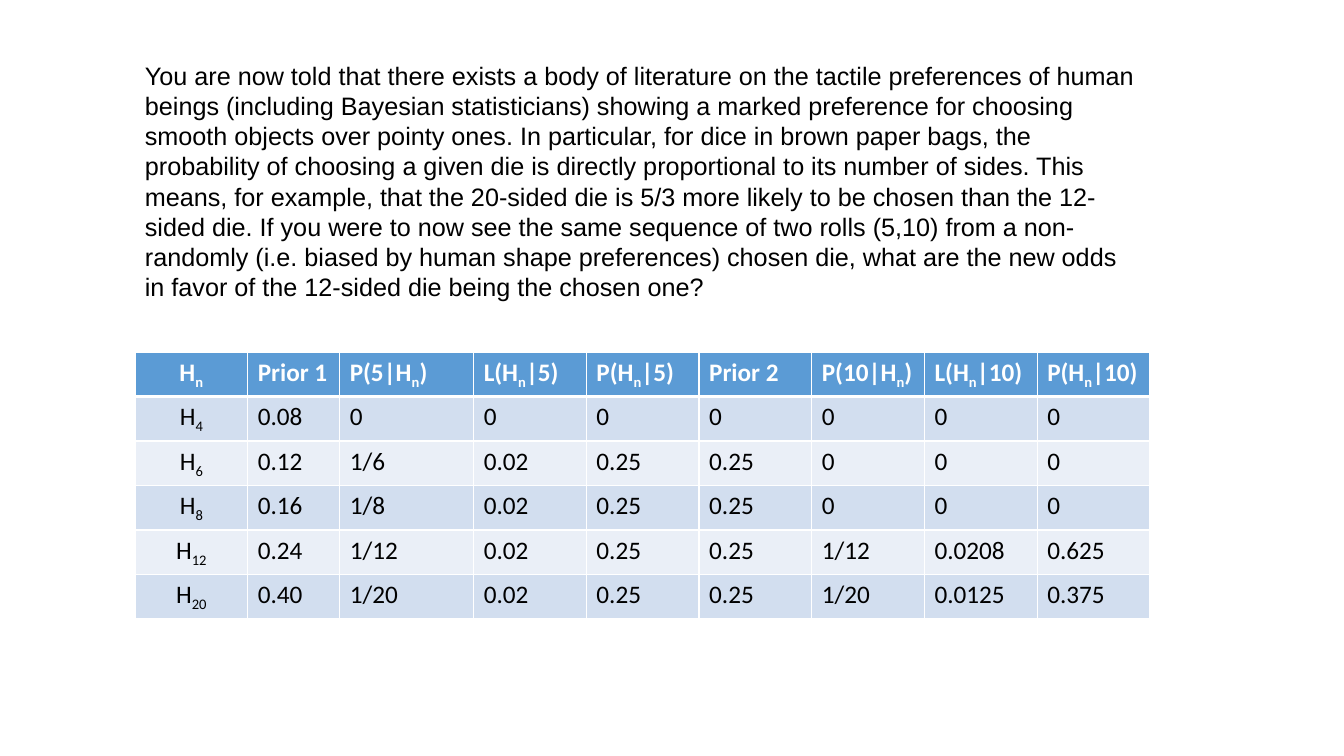
from lxml.etree import SubElement
from pptx import Presentation
from pptx.dml.color import RGBColor
from pptx.enum.text import MSO_AUTO_SIZE, PP_ALIGN
from pptx.oxml import parse_xml
from pptx.oxml.ns import nsdecls
from pptx.util import Emu, Pt

# Content: text between underscores is subscript
QUESTION = (
    "You are now told that there exists a body of literature on the tactile "
    "preferences of human beings (including Bayesian statisticians) showing a "
    "marked preference for choosing smooth objects over pointy ones. In "
    "particular, for dice in brown paper bags, the probability of choosing a "
    "given die is directly proportional to its number of sides. This means, "
    "for example, that the 20-sided die is 5/3 more likely to be chosen than "
    "the 12-sided die. If you were to now see the same sequence of two rolls "
    "(5,10) from a non-randomly (i.e. biased by human shape preferences) "
    "chosen die, what are the new odds in favor of the 12-sided die being the "
    "chosen one?"
)
HYPOTHESES = [
    ("H_n_", "Prior 1", "P(5|H_n_)", "L(H_n_|5)", "P(H_n_|5)", "Prior 2",
     "P(10|H_n_)", "L(H_n_|10)", "P(H_n_|10)"),
    ("H_4_", "0.08", "0", "0", "0", "0", "0", "0", "0"),
    ("H_6_", "0.12", "1/6", "0.02", "0.25", "0.25", "0", "0", "0"),
    ("H_8_", "0.16", "1/8", "0.02", "0.25", "0.25", "0", "0", "0"),
    ("H_12_", "0.24", "1/12", "0.02", "0.25", "0.25", "1/12", "0.0208", "0.625"),
    ("H_20_", "0.40", "1/20", "0.02", "0.25", "0.25", "1/20", "0.0125", "0.375"),
]

BLACK = RGBColor(0x00, 0x00, 0x00)
WHITE = RGBColor(0xFF, 0xFF, 0xFF)
HEADER_BLUE = RGBColor(0x5B, 0x9B, 0xD5)
BAND_DARK = RGBColor(0xD2, 0xDE, 0xEF)
BAND_LIGHT = RGBColor(0xEA, 0xEF, 0xF7)

# Layout in pixels
LEFT, WIDTH = 135, 1015
QUESTION_TOP, QUESTION_HEIGHT = 55, 254
TABLE_TOP, ROW_HEIGHT = 352, 41
SPECIAL_WIDTHS = {1: 92, 2: 134}


def px(value):
    return Emu(round(value * 914400 / 100.8))


def add_text(para, text, font, color, bold=False):
    for index, part in enumerate(text.split("_")):
        if not part:
            continue
        span = para.add_run()
        span.text = part
        span.font.name = font
        span.font.size = Pt(18)
        span.font.bold = bold
        span.font.color.rgb = color
        if index % 2:
            span.font._element.set("baseline", "-25000")


def add_borders(cell, top, bottom):
    properties = cell._tc.get_or_add_tcPr()
    sides = (("lnL", 1), ("lnR", 1), ("lnT", top), ("lnB", bottom))
    for index, (side, points) in enumerate(sides):
        line = parse_xml(
            f'<a:{side} {nsdecls("a")} w="{Pt(points)}"><a:solidFill>'
            f'<a:srgbClr val="{WHITE}"/></a:solidFill></a:{side}>')
        properties.insert(index, line)


deck = Presentation()
deck.slide_width, deck.slide_height = px(1344), px(756)
page = deck.slides.add_slide(deck.slide_layouts[6])

# Question
box = page.shapes.add_textbox(
    px(LEFT), px(QUESTION_TOP), px(WIDTH), px(QUESTION_HEIGHT))
box.text_frame.word_wrap = True
box.text_frame.auto_size = MSO_AUTO_SIZE.SHAPE_TO_FIT_TEXT
add_text(box.text_frame.paragraphs[0], QUESTION, "Arial", BLACK)

# Table of hypotheses, with the remaining width shared equally
row_count, column_count = len(HYPOTHESES), len(HYPOTHESES[0])
table = page.shapes.add_table(
    row_count, column_count, px(LEFT), px(TABLE_TOP), px(WIDTH),
    px(ROW_HEIGHT * row_count)).table
equal_width = ((WIDTH - sum(SPECIAL_WIDTHS.values()))
               / (column_count - len(SPECIAL_WIDTHS)))
for index, column in enumerate(table.columns):
    column.width = px(SPECIAL_WIDTHS.get(index, equal_width))

for row, values in enumerate(HYPOTHESES):
    header = row == 0
    band = HEADER_BLUE if header else BAND_DARK if row % 2 else BAND_LIGHT
    for column, value in enumerate(values):
        cell = table.cell(row, column)
        cell.fill.solid()
        cell.fill.fore_color.rgb = band
        add_borders(cell, top=3 if row == 1 else 1, bottom=3 if header else 1)
        para = cell.text_frame.paragraphs[0]
        para.alignment = PP_ALIGN.LEFT if column else PP_ALIGN.CENTER
        add_text(para, value, "Calibri", WHITE if header else BLACK, header)

deck.save("out.pptx")
